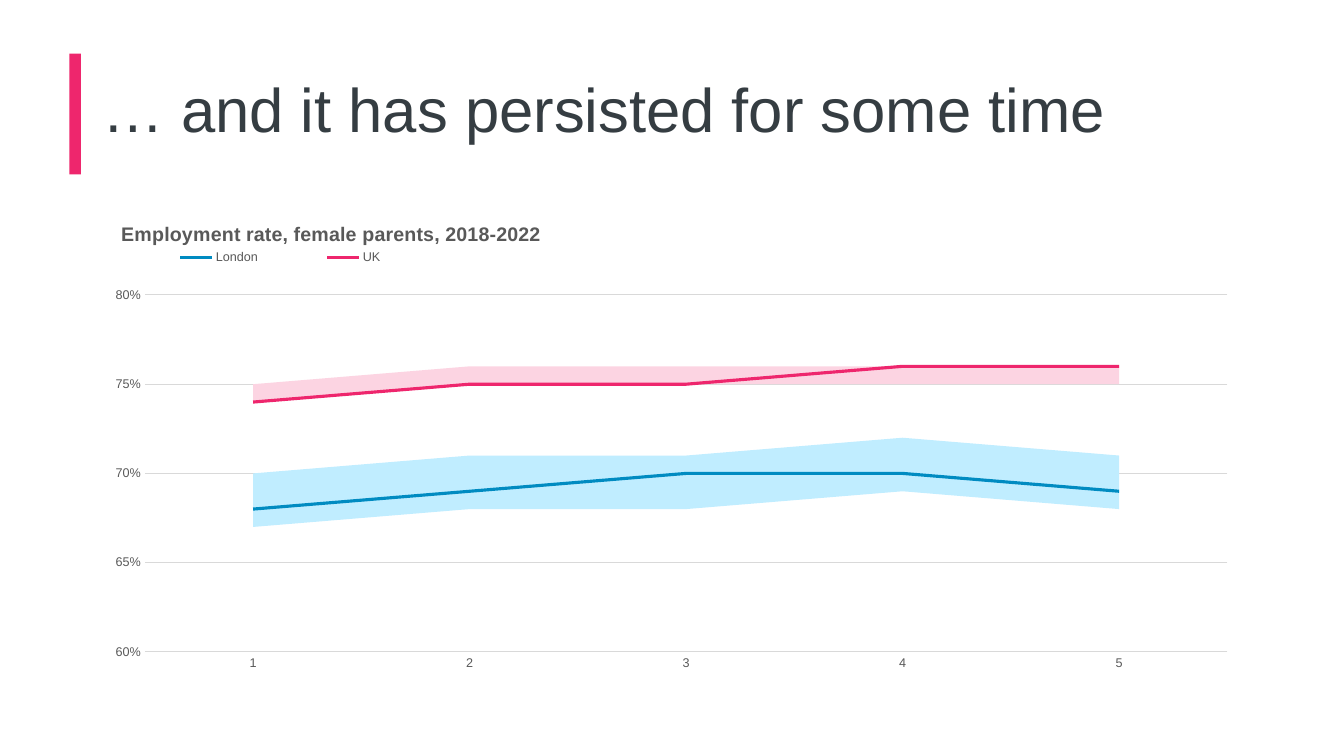
"""Build a slide on the employment rate of female parents in London and the UK."""
from dataclasses import dataclass

from pptx import Presentation
from pptx.chart.chart import Chart
from pptx.chart.data import CategoryChartData
from pptx.dml.color import RGBColor
from pptx.enum.chart import XL_CHART_TYPE, XL_LEGEND_POSITION, XL_MARKER_STYLE, XL_TICK_MARK
from pptx.enum.shapes import MSO_SHAPE
from pptx.enum.text import MSO_ANCHOR, MSO_AUTO_SIZE, PP_ALIGN
from pptx.oxml import parse_xml
from pptx.oxml.ns import nsdecls, qn
from pptx.util import Pt

AREA = XL_CHART_TYPE.AREA_STACKED
TOP = XL_LEGEND_POSITION.TOP
BARE = XL_MARKER_STYLE.NONE
NO_TICK = XL_TICK_MARK.NONE
RECT = MSO_SHAPE.RECTANGLE
MIDDLE = MSO_ANCHOR.MIDDLE
FIXED = MSO_AUTO_SIZE.NONE
LEFT = PP_ALIGN.LEFT

PX = 9525
FONT = "Arial"
COLORS = {
    "ink": "353D42", "grey": "595959", "grid": "D9D9D9", "white": "FFFFFF",
    "blue": "008BC1", "pink": "EE266D", "sky": "C0EDFF", "rose": "FCD4E2",
}


@dataclass
class Box:
    """A rectangle in px."""
    left: int
    top: int
    width: int
    height: int

    def emu(self) -> tuple[int, ...]:
        """Return the sides in EMU."""
        return tuple(n * PX for n in (self.left, self.top, self.width, self.height))


@dataclass
class Series:
    """One chart series; a band without a color is an unseen base."""
    name: str
    values: tuple[float, ...]
    color: str | None = None


BAR = Box(66, 51, 11, 115)
HEAD = Box(88, 38, 1104, 139)
FRAME = Box(88, 192, 1104, 457)
PLOT = Box(138, 281, 1031, 340)
KEY = Box(110, 233, 314, 24)
LABEL = Box(112, 207, 400, 22)

BANDS = [
    Series("Series 1", (0.67, 0.68, 0.68, 0.69, 0.68)),
    Series("Series 2", (0.03,) * 5, "sky"),
    Series("Series 3", (0.04, 0.04, 0.04, 0.03, 0.04)),
    Series("Series 4", (0.01,) * 5, "rose"),
]
RATES = [
    Series("London", (0.68, 0.69, 0.7, 0.7, 0.69), "blue"),
    Series("UK", (0.74, 0.75, 0.75, 0.76, 0.76), "pink"),
]


def rgb(name: str) -> RGBColor:
    """Look up a color."""
    return RGBColor.from_string(COLORS[name])


def style(font, size: float, color: str, bold: bool = False) -> None:
    """Format a font."""
    font.name, font.size, font.bold = FONT, Pt(size), bold
    font.color.rgb = rgb(color)


def write(frame, text: str, *, size: float, color: str, bold: bool = False,
          spacing: float | None = None) -> None:
    """Put one left-aligned paragraph in a text frame."""
    frame.text = text
    para = frame.paragraphs[0]
    para.alignment, para.line_spacing = LEFT, spacing
    style(para.runs[0].font, size, color, bold)


def stroke(line, color: str, width: float) -> None:
    """Color a line and set its width in points."""
    line.color.rgb, line.width = rgb(color), Pt(width)


def place(host, box: Box, after=None, inner: bool = False, sized: bool = True) -> None:
    """Give a chart part a fixed place within the chart frame."""
    for old in host.findall(qn("c:layout")):
        host.remove(old)
    parts = {"x": (box.left - FRAME.left) / FRAME.width,
             "y": (box.top - FRAME.top) / FRAME.height}
    if sized:
        parts |= {"w": box.width / FRAME.width, "h": box.height / FRAME.height}
    target = '<c:layoutTarget val="inner"/>' if inner else ""
    modes = "".join(f'<c:{k}Mode val="edge"/>' for k in "xy")
    sides = "".join(f'<c:{k} val="{v:.4f}"/>' for k, v in parts.items())
    node = parse_xml(f'<c:layout {nsdecls("c")}><c:manualLayout>{target}{modes}{sides}'
                     '</c:manualLayout></c:layout>')
    if after is None:
        host.insert(0, node)
    else:
        after.addnext(node)


def split(chart: Chart) -> None:
    """Move the rate series from the area plot to a line plot on the same axes."""
    area = chart.plots[0]._element
    line = parse_xml(f'<c:lineChart {nsdecls("c")}><c:grouping val="standard"/>'
                     '<c:varyColors val="0"/></c:lineChart>')
    for ser in area.findall(qn("c:ser"))[len(BANDS):]:
        line.append(ser)
    line.append(parse_xml(f'<c:marker {nsdecls("c")} val="1"/>'))
    for axis in area.findall(qn("c:axId")):
        line.append(parse_xml(f'<c:axId {nsdecls("c")} val="{axis.get("val")}"/>'))
    area.addnext(line)


def paint(chart: Chart) -> None:
    """Color the bands and the rate lines."""
    bands, lines = chart.plots
    bands.vary_by_categories = False
    for item, ser in zip(BANDS, bands.series):
        ser.format.line.fill.background()
        if item.color:
            ser.format.fill.solid()
            ser.format.fill.fore_color.rgb = rgb(item.color)
        else:
            ser.format.fill.background()
    for item, ser in zip(RATES, lines.series):
        stroke(ser.format.line, item.color, 2.25)
        ser.marker.style = BARE
        ser.smooth = False


def scale(chart: Chart) -> None:
    """Format both axes."""
    cats, vals = chart.category_axis, chart.value_axis
    for axis in (cats, vals):
        axis.major_tick_mark = axis.minor_tick_mark = NO_TICK
        style(axis.tick_labels.font, 9, "grey")
    cats.has_major_gridlines = False
    stroke(cats.format.line, "grid", 0.75)
    vals.minimum_scale, vals.maximum_scale, vals.major_unit = 0.6, 0.8, 0.05
    vals.tick_labels.number_format = "0%"
    vals.tick_labels.number_format_is_linked = False
    vals.format.line.fill.background()
    stroke(vals.major_gridlines.format.line, "grid", 0.75)
    vals._element.find(qn("c:crossBetween")).set("val", "between")


def legend(chart: Chart) -> None:
    """Show a legend for the rate lines only."""
    chart.has_legend = True
    chart.legend.position = TOP
    chart.legend.include_in_layout = False
    style(chart.legend.font, 9, "grey")
    host = chart.legend._element
    last = host.find(qn("c:legendPos"))
    for i in range(len(BANDS)):
        entry = parse_xml(f'<c:legendEntry {nsdecls("c")}><c:idx val="{i}"/>'
                          '<c:delete val="1"/></c:legendEntry>')
        last.addnext(entry)
        last = entry
    place(host, KEY, last)


def graph(slide) -> None:
    """Add the combined chart."""
    data = CategoryChartData(number_format="0%")
    data.categories = ["1", "2", "3", "4", "5"]
    for item in BANDS + RATES:
        data.add_series(item.name, item.values)
    chart = slide.shapes.add_chart(AREA, *FRAME.emu(), data).chart
    style(chart.font, 10, "grey")
    split(chart)
    paint(chart)
    scale(chart)
    legend(chart)
    chart.has_title = True
    write(chart.chart_title.text_frame, "Employment rate, female parents, 2018-2022",
          size=14, color="grey", bold=True)
    head = chart.chart_title._element
    place(head, LABEL, head.find(qn("c:tx")), sized=False)
    root = chart._chartSpace.find(qn("c:chart"))
    place(root.find(qn("c:plotArea")), PLOT, inner=True)
    root.addnext(parse_xml(
        f'<c:spPr {nsdecls("c", "a")}><a:solidFill><a:srgbClr val="{COLORS["white"]}"/>'
        '</a:solidFill><a:ln><a:noFill/></a:ln></c:spPr>'))


def main() -> None:
    """Build and save the slide."""
    deck = Presentation()
    deck.slide_width, deck.slide_height = 1280 * PX, 720 * PX
    slide = deck.slides.add_slide(deck.slide_layouts[5])
    bar = slide.shapes.add_shape(RECT, *BAR.emu())
    bar.shadow.inherit = False
    bar.fill.solid()
    bar.fill.fore_color.rgb = rgb("pink")
    bar.line.fill.background()
    title = slide.shapes.title
    title.left, title.top, title.width, title.height = HEAD.emu()
    frame = title.text_frame
    frame.vertical_anchor, frame.auto_size, frame.word_wrap = MIDDLE, FIXED, True
    write(frame, "… and it has persisted for some time", size=44, color="ink", spacing=0.9)
    graph(slide)
    deck.save("out.pptx")


if __name__ == "__main__":
    main()
